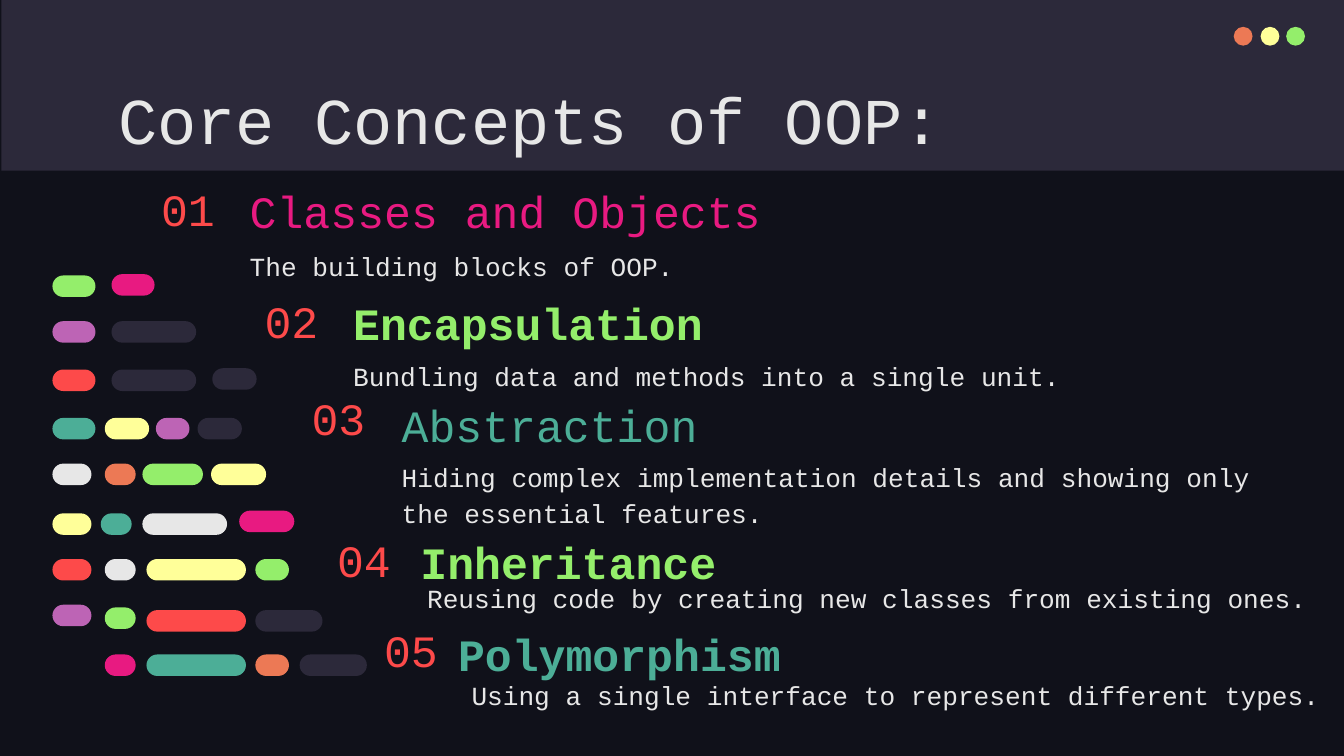
from pptx import Presentation
from pptx.dml.color import RGBColor
from pptx.enum.shapes import MSO_SHAPE
from pptx.enum.text import MSO_ANCHOR, MSO_AUTO_SIZE, PP_ALIGN
from pptx.util import Inches, Pt

WIDTH = 10
HEIGHT = WIDTH * 9 / 16
FONT = "Courier New"
NIGHT, SLATE, WHITE = "10111A", "2C293A", "E7E7E7"
GREEN, PINK, PURPLE, RED = "94EE6B", "E81A81", "BD64B5", "FD4A4A"
TEAL, YELLOW, ORANGE = "4CAE97", "FFFF99", "EC7955"

TITLE = "Core Concepts of OOP:"
CONCEPTS = [
    ("Classes and Objects", PINK, False, (1.1, 1.34, 0.66, 0.43), (1.76, 1.34),
     "The building blocks of OOP.", (1.76, 1.73, 4.6, 0.48)),
    ("Encapsulation", GREEN, True, (1.87, 2.17, 0.66, 0.43), (2.53, 2.17),
     "Bundling data and methods into a single unit.", (2.53, 2.55, 5.6, 0.63)),
    ("Abstraction", TEAL, False, (2.22, 2.93, 0.66, 0.36), (2.89, 2.93),
     "Hiding complex implementation details and showing only the essential features.",
     (2.89, 3.3, 6.95, 0.63)),
    ("Inheritance", GREEN, True, (2.41, 3.95, 0.66, 0.43), (3.03, 3.95),
     "Reusing code by creating new classes from existing ones.", (3.08, 4.2, 6.77, 0.63)),
    ("Polymorphism", TEAL, True, (2.76, 4.65, 0.66, 0.36), (3.31, 4.63),
     "Using a single interface to represent different types.", (3.41, 4.92, 6.52, 0.63)),
]
HEADING_SIZE = (4.6, 0.53)
DOTS = [(9.18, ORANGE), (9.38, YELLOW), (9.57, GREEN)]
DOT_TOP, DOT_SIZE, PILL_HEIGHT = 0.2, 0.14, 0.16
PILL_ROWS = [
    (2.05, [(0.39, 0.32, GREEN)]),
    (2.04, [(0.83, 0.32, PINK)]),
    (2.39, [(0.39, 0.32, PURPLE), (0.83, 0.63, SLATE)]),
    (2.75, [(0.39, 0.32, RED), (0.83, 0.63, SLATE)]),
    (2.74, [(1.58, 0.33, SLATE)]),
    (3.11, [(0.39, 0.32, TEAL), (0.78, 0.33, YELLOW), (1.16, 0.25, PURPLE),
            (1.47, 0.33, SLATE)]),
    (3.45, [(0.39, 0.29, WHITE), (0.78, 0.23, ORANGE), (1.06, 0.45, GREEN),
            (1.57, 0.41, YELLOW)]),
    (3.82, [(0.39, 0.29, YELLOW), (0.75, 0.23, TEAL), (1.06, 0.63, WHITE)]),
    (3.8, [(1.78, 0.41, PINK)]),
    (4.16, [(0.39, 0.29, RED), (0.78, 0.23, WHITE), (1.09, 0.74, YELLOW),
            (1.9, 0.25, GREEN)]),
    (4.5, [(0.39, 0.29, PURPLE)]),
    (4.52, [(0.78, 0.23, GREEN)]),
    (4.54, [(1.09, 0.74, RED), (1.9, 0.5, SLATE)]),
    (4.87, [(0.78, 0.23, PINK), (1.09, 0.74, TEAL), (1.9, 0.25, ORANGE),
            (2.23, 0.5, SLATE)]),
]


def paint(fill, color):
    fill.solid()
    fill.fore_color.rgb = RGBColor.from_string(color)


def add_block(shapes, kind, box, color):
    shape = shapes.add_shape(kind, *map(Inches, box))
    shape.shadow.inherit = False
    paint(shape.fill, color)
    shape.line.fill.background()
    return shape


def write(shape, text, box, size=14, color=WHITE, bold=False,
          anchor=MSO_ANCHOR.TOP, spacing=1.0):
    shape.left, shape.top, shape.width, shape.height = map(Inches, box)
    frame = shape.text_frame
    frame.word_wrap = True
    frame.auto_size = MSO_AUTO_SIZE.NONE
    frame.vertical_anchor = anchor
    frame.margin_left = frame.margin_right = Inches(0.1)
    frame.margin_top = frame.margin_bottom = Inches(0.1)
    paragraph = frame.paragraphs[0]
    paragraph.alignment = PP_ALIGN.LEFT
    paragraph.line_spacing = spacing
    run = paragraph.add_run()
    run.text = text
    run.font.name = FONT
    run.font.size = Pt(size)
    run.font.bold = bold
    paint(run.font.fill, color)


def add_text(slide, text, box, **style):
    write(slide.shapes.add_textbox(0, 0, 0, 0), text, box, **style)


def main():
    """Build the slide on the core concepts of OOP."""
    presentation = Presentation()
    presentation.slide_width, presentation.slide_height = Inches(WIDTH), Inches(HEIGHT)
    slide = presentation.slides.add_slide(presentation.slide_layouts.get_by_name("Title Only"))
    paint(slide.background.fill, NIGHT)

    header = add_block(slide.shapes, MSO_SHAPE.RECTANGLE, (0.01, 0, WIDTH, 1.27), SLATE)
    title = slide.shapes.title
    title.element.addprevious(header.element)
    write(title, TITLE, (0.78, 0.49, 8.43, 0.63), size=35)

    dots = slide.shapes.add_group_shape()
    for left, color in DOTS:
        add_block(dots.shapes, MSO_SHAPE.OVAL, (left, DOT_TOP, DOT_SIZE, DOT_SIZE), color)

    pills = slide.shapes.add_group_shape()
    for top, row in PILL_ROWS:
        for left, width, color in row:
            pill = add_block(pills.shapes, MSO_SHAPE.ROUNDED_RECTANGLE,
                             (left, top, width, PILL_HEIGHT), color)
            pill.adjustments[0] = 0.5

    for number, concept in enumerate(CONCEPTS, 1):
        heading, color, bold, number_box, corner, description, description_box = concept
        add_text(slide, description, description_box, spacing=1.15)
        add_text(slide, f"{number:02}", number_box, size=24, color=RED,
                 anchor=MSO_ANCHOR.MIDDLE)
        add_text(slide, heading, corner + HEADING_SIZE, size=24, color=color, bold=bold,
                 anchor=MSO_ANCHOR.BOTTOM, spacing=1.15)

    presentation.save("out.pptx")


if __name__ == "__main__":
    main()
